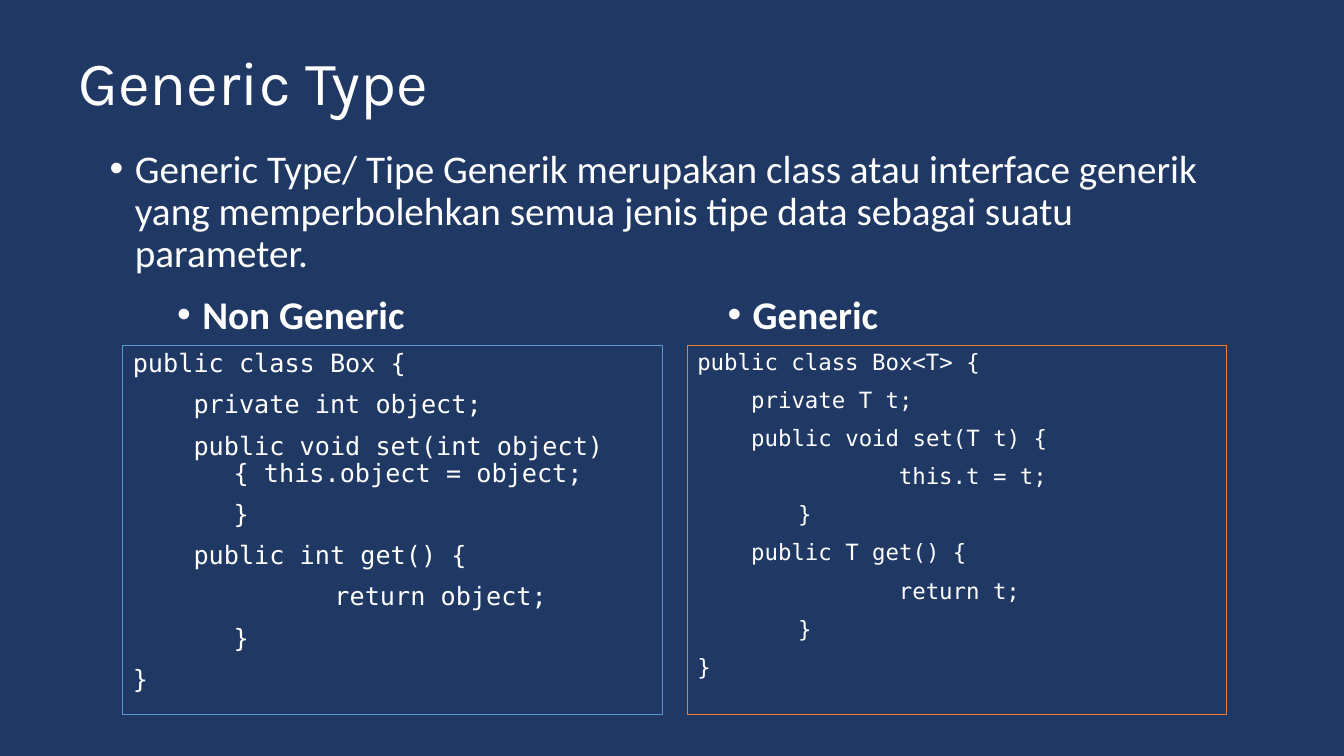
from pptx import Presentation
from pptx.dml.color import RGBColor
from pptx.enum import shapes, text
from pptx.oxml import parse_xml
from pptx.oxml.ns import nsdecls
from pptx.util import Pt

NAVY = RGBColor(0x20, 0x38, 0x64)
WHITE = RGBColor(0xFF, 0xFF, 0xFF)
BLUE = RGBColor(0x5B, 0x9B, 0xD5)
ORANGE = RGBColor(0xED, 0x7D, 0x31)

MONO_ADVANCE = 0.602
TAB = 72

presentation = Presentation()
presentation.slide_width, presentation.slide_height = Pt(960), Pt(540)
slide = presentation.slides.add_slide(presentation.slide_layouts[6])
slide.background.fill.solid()
slide.background.fill.fore_color.rgb = NAVY


def write_line(paragraph, content, font_format, margin=0, indent=0, space=10):
    paragraph.line_spacing = 0.9
    paragraph.space_before = Pt(space)
    paragraph.alignment = text.PP_ALIGN.LEFT
    properties = paragraph._p.get_or_add_pPr()
    properties.set("marL", str(Pt(margin)))
    properties.set("indent", str(Pt(indent)))
    run = paragraph.add_run()
    run.text = content
    run.font.color.rgb = WHITE
    for name, value in font_format.items():
        setattr(run.font, name, value)


def add_text(left, top, width, height, content, font_format, bullet=True):
    shape = slide.shapes.add_textbox(Pt(left), Pt(top), Pt(width), Pt(height))
    frame = shape.text_frame
    frame.word_wrap = True
    paragraph = frame.paragraphs[0]
    if bullet:
        write_line(paragraph, content, font_format, 18, -18)
        properties = paragraph._p.get_or_add_pPr()
        properties.append(parse_xml(f'<a:buFont {nsdecls("a")} typeface="Arial"/>'))
        properties.append(parse_xml(f'<a:buChar {nsdecls("a")} char="•"/>'))
    else:
        write_line(paragraph, content, font_format, space=0)
        frame.vertical_anchor = text.MSO_ANCHOR.MIDDLE


body_format = {"name": "Calibri", "size": Pt(28)}
heading_format = {**body_format, "bold": True}

add_text(49, 8.6, 828, 104.4, "Generic Type", {"name": "Karla", "size": Pt(44)}, bullet=False)
add_text(71.3, 103, 823.7, 415.4,
         "Generic Type/ Tipe Generik merupakan class atau interface generik yang "
         "memperbolehkan semua jenis tipe data sebagai suatu parameter.", body_format)

non_generic_code = [
    ("public class Box {", 0, 0),
    ("private int object;", 4, 0),
    ("public void set(int object) { this.object = object;", 4, 1),
    ("}", 0, 1),
    ("public int get() {", 4, 0),
    ("return object;", 0, 2),
    ("}", 0, 1),
    ("}", 0, 0),
]
generic_code = [
    ("public class Box<T> {", 0, 0),
    ("private T t;", 4, 0),
    ("public void set(T t) {", 4, 0),
    ("this.t = t;", 0, 2),
    ("}", 0, 1),
    ("public T get() {", 4, 0),
    ("return t;", 0, 2),
    ("}", 0, 1),
    ("}", 0, 0),
]
panels = [
    ("Non Generic", 119.5, 87.8, BLUE, 18, non_generic_code),
    ("Generic", 512.6, 491, ORANGE, 16, generic_code),
]

for heading, heading_left, box_left, line_color, size, code in panels:
    add_text(heading_left, 207.4, 363.6, 45.4, heading, heading_format)
    box = slide.shapes.add_shape(shapes.MSO_SHAPE.RECTANGLE,
                                 Pt(box_left), Pt(247), Pt(385.2), Pt(263.6))
    box.shadow.inherit = False
    box.fill.background()
    box.line.color.rgb = line_color
    box.line.width = Pt(0.75)
    frame = box.text_frame
    frame.word_wrap = True
    frame.vertical_anchor = text.MSO_ANCHOR.TOP
    for index, (content, characters, tabs) in enumerate(code):
        paragraph = frame.add_paragraph() if index else frame.paragraphs[0]
        first_line = characters * MONO_ADVANCE * size or tabs * TAB
        margin = tabs * TAB or first_line
        write_line(paragraph, content, {"name": "DejaVu Sans Mono", "size": Pt(size)},
                   margin, first_line - margin)

presentation.save("out.pptx")
